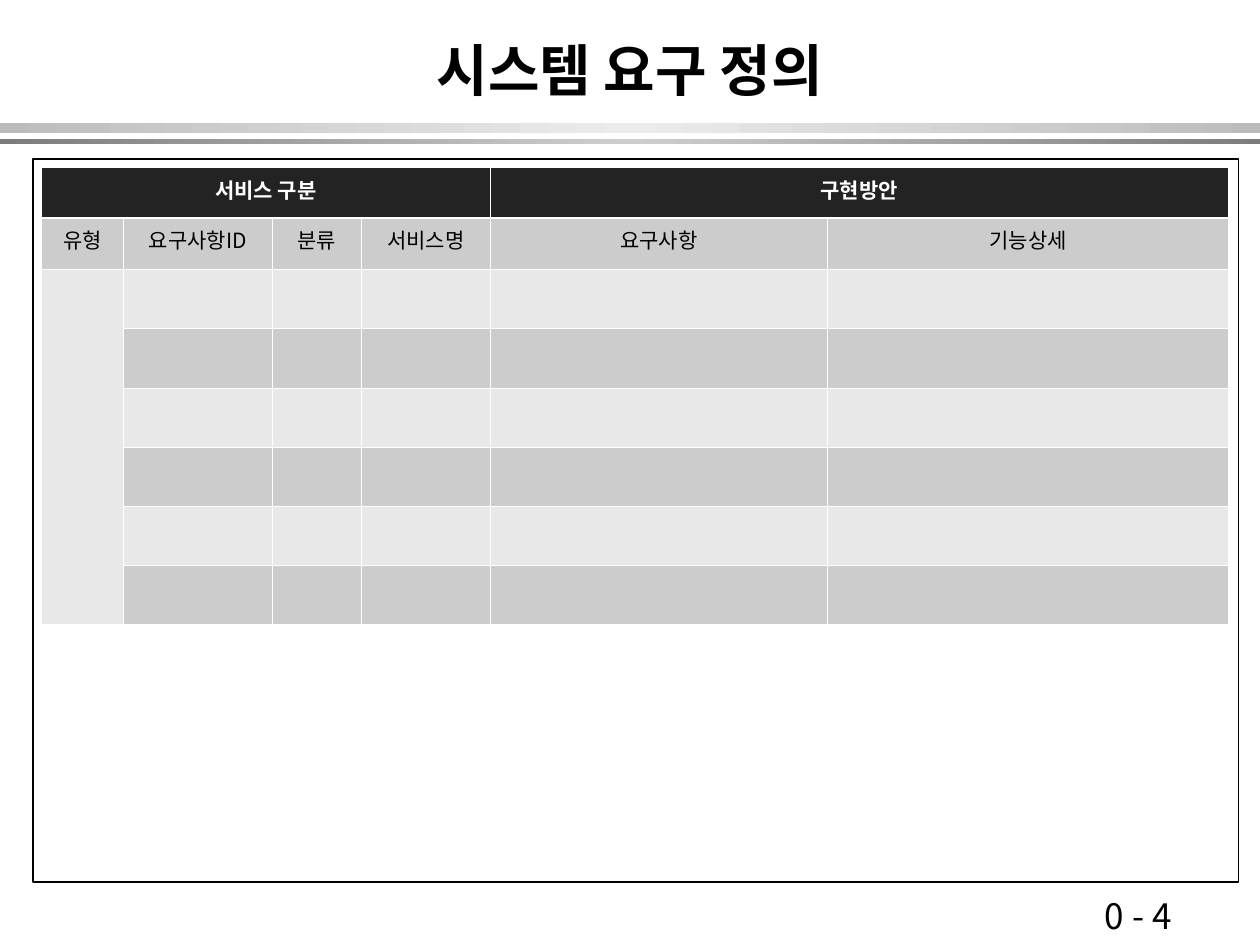
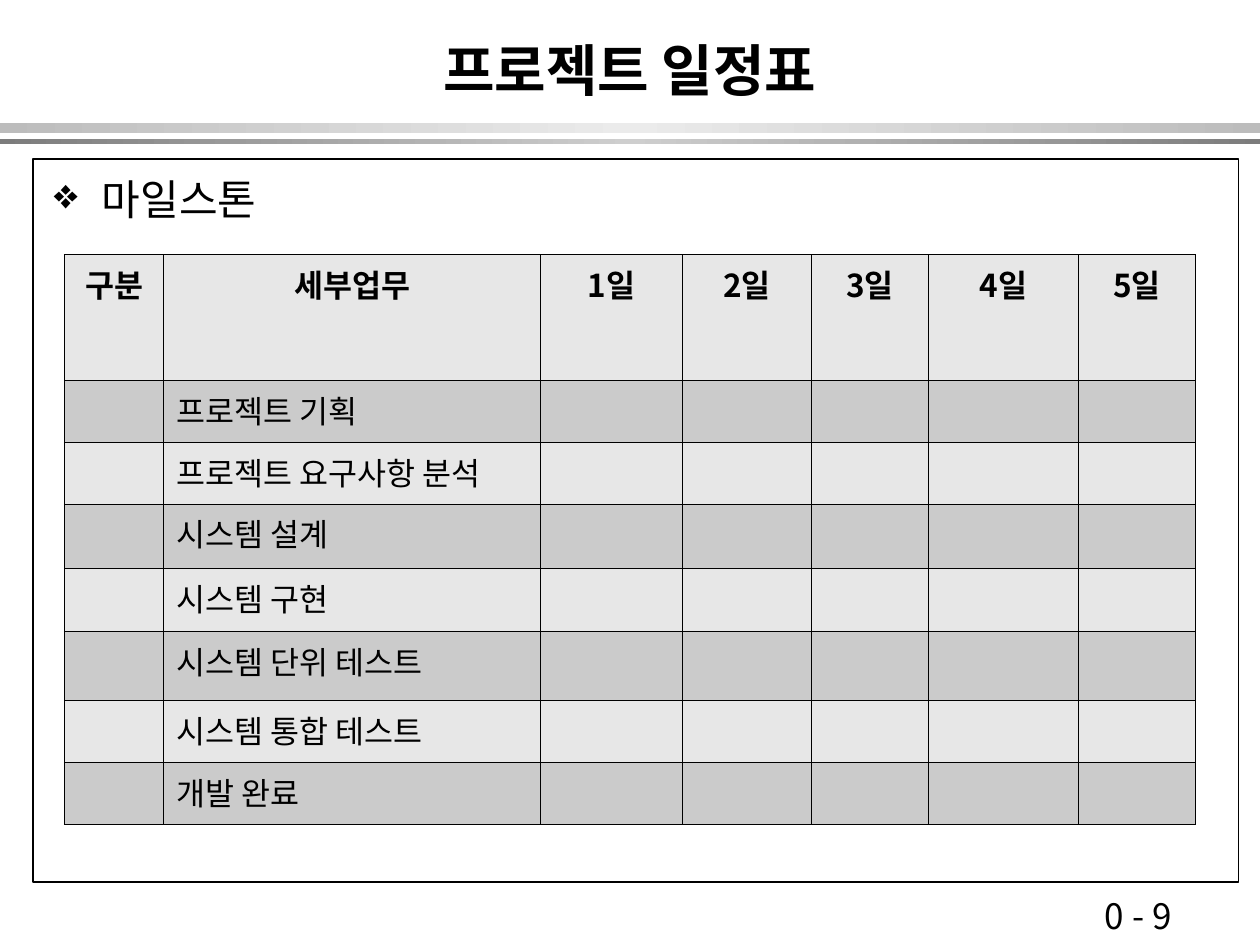
from copy import deepcopy

from lxml import etree
from pptx import Presentation
from pptx import util as u
from pptx.dml.color import RGBColor
from pptx.enum import shapes, text
from pptx.oxml.ns import qn

COLUMNS, ROWS = 10, 7.5  # slide grid with one-inch cells
FONT = "Noto Sans CJK KR"
BLACK = RGBColor(0x00, 0x00, 0x00)
WHITE = RGBColor(0xFF, 0xFF, 0xFF)
CHARCOAL = RGBColor(0x23, 0x23, 0x23)
LIGHT_BAND = (RGBColor(0xBC, 0xBC, 0xBC), RGBColor(0xEB, 0xEB, 0xEB))
DARK_BAND = (RGBColor(0x7C, 0x7C, 0x7C), RGBColor(0xCE, 0xCE, 0xCE))
REQUIREMENT_STRIPES = (RGBColor(0xE8, 0xE8, 0xE8), RGBColor(0xCC, 0xCC, 0xCC))
SCHEDULE_STRIPES = (RGBColor(0xE7, 0xE7, 0xE7), RGBColor(0xCB, 0xCB, 0xCB))
CENTER = text.PP_ALIGN.CENTER

CONTENT = (0.33, 1.33, 9.42, 5.58)
TITLE_FORMAT = {"size": u.Pt(32), "bold": True}
PAGE_FORMAT = {"size": u.Pt(20)}
BULLET_FORMAT = {"size": u.Pt(24)}
SMALL_FORMAT = {"size": u.Pt(12), "bold": False}
TASK_FORMAT = {"size": u.Pt(18), "bold": False}


def area(*cells):
    return [u.Inches(cell) for cell in cells]


def write(frame, words, formats, color=BLACK, align=None):
    para = frame.paragraphs[0]
    para.alignment = align
    span = para.add_run()
    span.text = words
    span.font.color.rgb = color
    for name, value in {"name": FONT, **formats}.items():
        setattr(span.font, name, value)
    etree.SubElement(span.font._element, qn("a:ea"), typeface=FONT)
    return para


def add_text(page, place, words, formats, align=None, anchor=text.MSO_ANCHOR.TOP):
    frame = page.shapes.add_textbox(*area(*place)).text_frame
    frame.word_wrap = True
    frame.vertical_anchor = anchor
    return write(frame, words, formats, align=align)


def add_rectangle(page, place):
    box = page.shapes.add_shape(shapes.MSO_SHAPE.RECTANGLE, *area(*place))
    box.shadow.inherit = False
    return box


def add_band(page, top, height, colors):
    """Draw a full-width bar that fades from the edge colour to the middle one and back."""
    edge, middle = colors
    band = add_rectangle(page, (0, top, COLUMNS, height))
    band.line.fill.background()
    band.fill.gradient()
    band.fill.gradient_angle = 0
    stop_list = band._element.spPr.find(".//" + qn("a:gsLst"))
    stop_list.append(deepcopy(stop_list[0]))
    for stop, position, color in zip(
        band.fill.gradient_stops, (0, 0.5, 1), (edge, middle, edge)
    ):
        stop.position = position
        stop.color.rgb = color


def add_page(deck, title, number):
    page = deck.slides.add_slide(deck.slide_layouts[6])
    add_band(page, 0.98, 0.08, LIGHT_BAND)
    add_band(page, 1.1, 0.04, DARK_BAND)
    frame = add_rectangle(page, (0.26, 1.26, 9.57, 5.74))
    frame.fill.background()
    frame.line.color.rgb = BLACK
    frame.line.width = u.Pt(1)
    add_text(page, (8.67, 7.05, 1.17, 0.43), f"0 - {number}", PAGE_FORMAT)
    add_text(page, (0.75, 0.17, 8.5, 0.75), title, TITLE_FORMAT,
             CENTER, text.MSO_ANCHOR.MIDDLE)
    return page


def add_bullet(page, place, words):
    para = add_text(page, place, words, BULLET_FORMAT)
    para.space_before = u.Pt(6)
    properties = para._p.get_or_add_pPr()
    indent = u.Inches(0.38)
    properties.set("marL", str(indent))
    properties.set("indent", str(-indent))
    etree.SubElement(properties, qn("a:buChar"), char="❖")


def set_borders(cell, color, **widths):
    """Line the cell's sides; widths maps L, R, T and B to points."""
    properties = cell._tc.get_or_add_tcPr()
    for side in "LRTB":
        line = etree.SubElement(properties, qn("a:ln" + side),
                                w=str(u.Pt(widths.get(side, 0.45))))
        fill = etree.SubElement(line, qn("a:solidFill"))
        etree.SubElement(fill, qn("a:srgbClr"), val=str(color))


def add_grid(page, left, top, widths, heights):
    """Add a table without built-in banding."""
    table = page.shapes.add_table(
        len(heights), len(widths), *area(left, top, sum(widths), sum(heights))
    ).table
    table.first_row = table.horz_banding = False
    for column, width in zip(table.columns, widths):
        column.width = u.Inches(width)
    for row, height in zip(table.rows, heights):
        row.height = u.Inches(height)
    return table


def paint(cell, fill, border, **widths):
    set_borders(cell, border, **widths)
    cell.fill.solid()
    cell.fill.fore_color.rgb = fill


def add_requirements(page):
    groups = {0: "서비스 구분", 4: "구현방안"}
    headings = ("유형", "요구사항ID", "분류", "서비스명", "요구사항", "기능상세")
    table = add_grid(page, *CONTENT[:2], (0.65, 1.18, 0.71, 1.02, 2.68, 3.18),
                     [0.4, 0.41] + [0.47] * 6)
    edge_widths = {0: {"B": 1.47}, 1: {"T": 1.47}}
    for number, row in enumerate(table.rows):
        fill = REQUIREMENT_STRIPES[number % 2] if number else CHARCOAL
        for cell in row.cells:
            paint(cell, fill, WHITE, **edge_widths.get(number, {}))
    table.cell(0, 0).merge(table.cell(0, 3))
    table.cell(0, 4).merge(table.cell(0, 5))
    table.cell(2, 0).merge(table.cell(7, 0))
    for column, words in groups.items():
        write(table.cell(0, column).text_frame, words,
              {**SMALL_FORMAT, "bold": True}, WHITE, CENTER)
    for column, words in enumerate(headings):
        write(table.cell(1, column).text_frame, words, SMALL_FORMAT, align=CENTER)


def add_schedule(page):
    headings = ["구분", "세부업무"] + [f"{day}일" for day in range(1, 6)]
    tasks = ("프로젝트 기획", "프로젝트 요구사항 분석", "시스템 설계", "시스템 구현",
             "시스템 단위 테스트", "시스템 통합 테스트", "개발 완료")
    table = add_grid(page, 0.51, 2.02, (0.79, 2.99, 1.13, 1.02, 0.93, 1.19, 0.93),
                     (1, 0.49, 0.49, 0.51, 0.5, 0.55, 0.49, 0.49))
    for number, row in enumerate(table.rows):
        for cell in row.cells:
            paint(cell, SCHEDULE_STRIPES[number % 2], BLACK)
    for column, words in enumerate(headings):
        write(table.cell(0, column).text_frame, words,
              {**TASK_FORMAT, "bold": True}, align=CENTER)
    for number, words in enumerate(tasks, start=1):
        write(table.cell(number, 1).text_frame, words, TASK_FORMAT)


def main():
    deck = Presentation()
    deck.slide_width, deck.slide_height = area(COLUMNS, ROWS)
    add_requirements(add_page(deck, "시스템 요구 정의", 4))
    schedule_page = add_page(deck, "프로젝트 일정표", 9)
    add_bullet(schedule_page, CONTENT, "마일스톤")
    add_schedule(schedule_page)
    deck.save("out.pptx")


if __name__ == "__main__":
    main()
